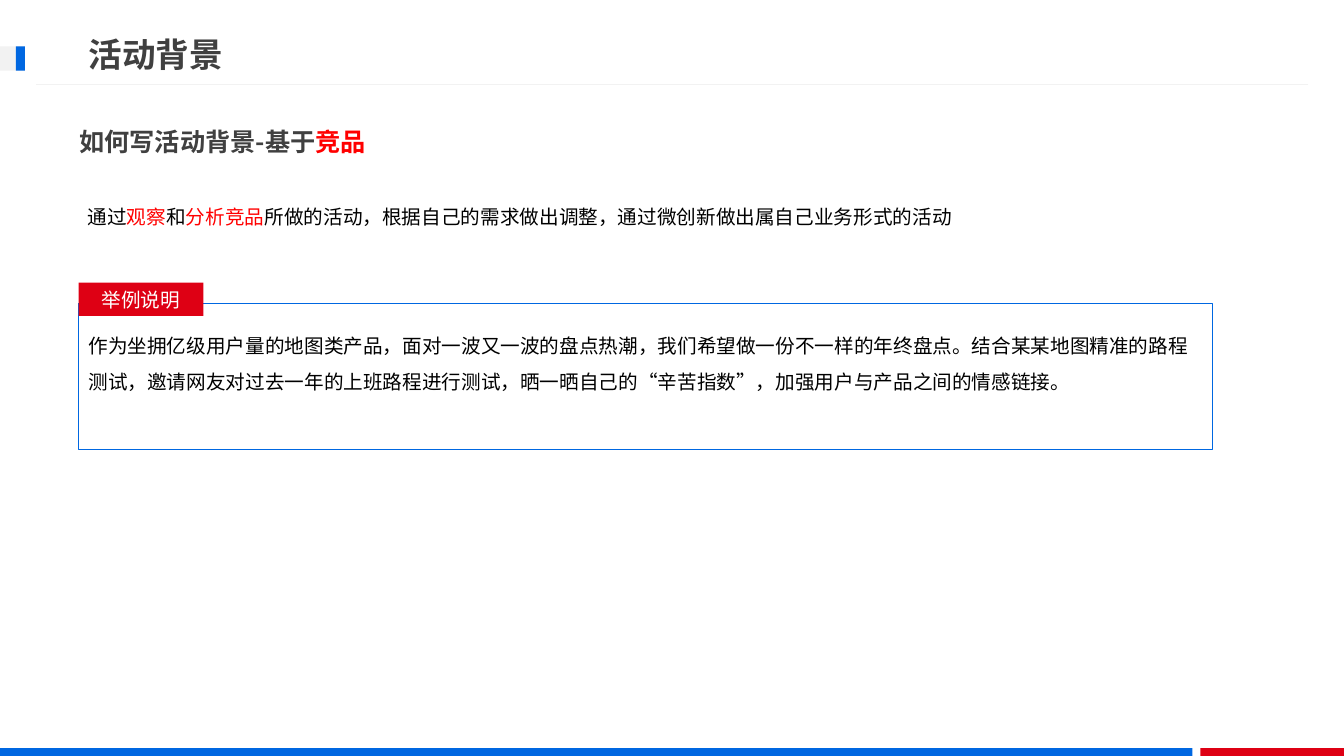
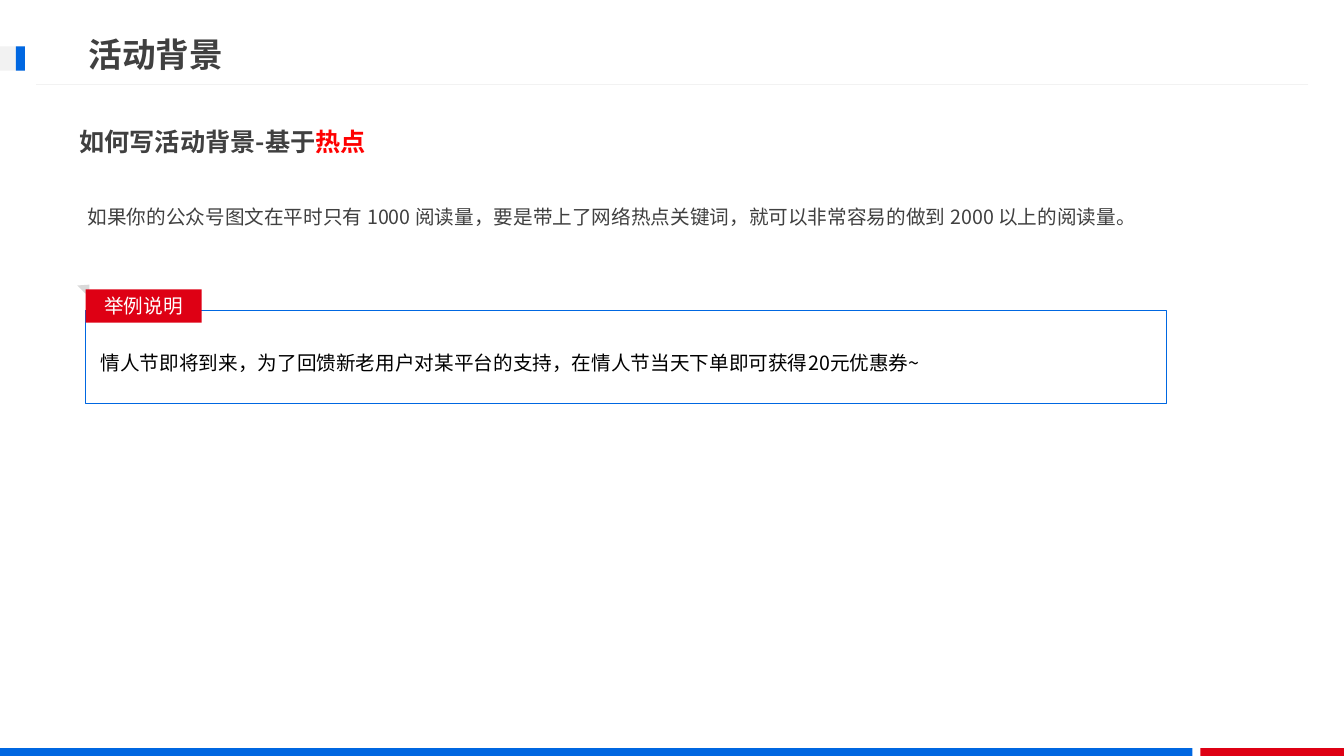
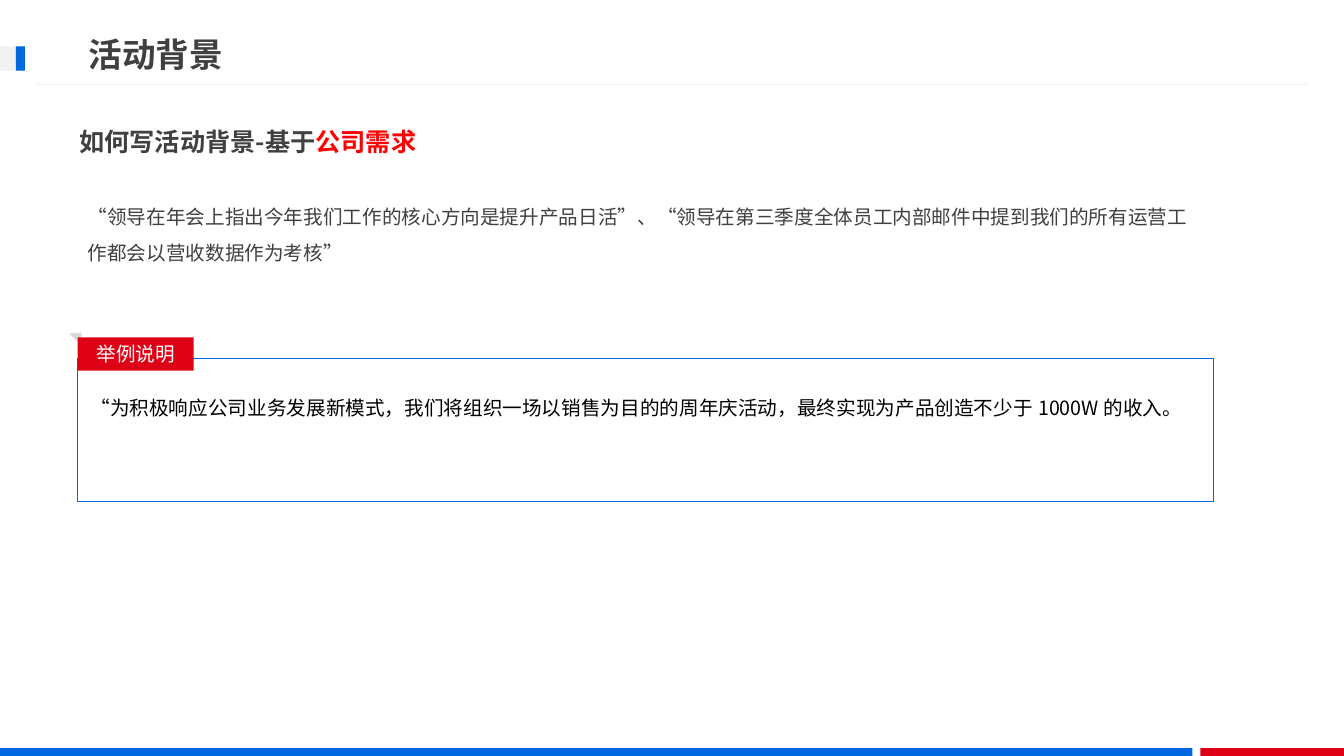
from dataclasses import dataclass
from typing import Optional

from lxml.etree import SubElement
from pptx import Presentation
from pptx.dml.color import RGBColor as RGB
from pptx.enum.lang import MSO_LANGUAGE_ID as LANG
from pptx.enum.shapes import MSO_CONNECTOR as CONN, MSO_SHAPE as SHAPE
from pptx.enum.text import MSO_ANCHOR as ANCHOR, PP_ALIGN as ALIGN
from pptx.oxml.ns import qn
from pptx.util import Cm, Pt


@dataclass(frozen=True)
class Theme:
    font: str = "Noto Sans CJK JP"
    blue: str = "0067E1"
    crimson: str = "DE0014"
    accent: str = "FF0000"
    dark: str = "404040"
    black: str = "000000"
    white: str = "FFFFFF"
    pale: str = "F2F2F2"
    fold: str = "D9D9D9"
    title: int = 24
    heading: int = 18
    body: int = 14
    line: float = 0.75
    spacing: float = 1.5


T = Theme()
TAG_H = 0.84
TAG_RISE = 0.53


@dataclass(frozen=True)
class Box:
    x: float
    y: float
    w: float
    h: float

    def cm(self) -> tuple:
        return Cm(self.x), Cm(self.y), Cm(self.w), Cm(self.h)


@dataclass(frozen=True)
class Run:
    text: str
    color: Optional[str] = None


@dataclass(frozen=True)
class Example:
    frame: Box
    text_box: Box
    text: str
    tag_w: float = 2.92
    folded: bool = True
    spacing: float = T.spacing


@dataclass(frozen=True)
class Page:
    basis: str
    intro: list[Run]
    intro_color: str
    example: Example


def write(sp, runs: list[Run], *, size: int = T.body, color: str = T.black,
          bold: bool = False, spacing: float = 1.0, align=ALIGN.LEFT,
          anchor=ANCHOR.TOP) -> None:
    tf = sp.text_frame
    tf.word_wrap = True
    tf.vertical_anchor = anchor
    p = tf.paragraphs[0]
    p.alignment = align
    p.line_spacing = spacing
    for run in runs:
        r = p.add_run()
        r.text = run.text
        f = r.font
        f.size, f.bold, f.name = Pt(size), bold, T.font
        f.language_id = LANG.SIMPLIFIED_CHINESE
        f.color.rgb = RGB.from_string(run.color or color)
        SubElement(f._element, qn("a:ea")).set("typeface", T.font)


def add_text(s, box: Box, runs: list[Run], **fmt) -> None:
    write(s.shapes.add_textbox(*box.cm()), runs, **fmt)


def add_shape(s, box: Box, *, fill: Optional[str] = None,
              line: Optional[str] = None, kind=SHAPE.RECTANGLE):
    sp = s.shapes.add_shape(kind, *box.cm())
    sp.shadow.inherit = False
    if fill:
        sp.fill.solid()
        sp.fill.fore_color.rgb = RGB.from_string(fill)
    else:
        sp.fill.background()
    if line:
        sp.line.color.rgb = RGB.from_string(line)
        sp.line.width = Pt(T.line)
    else:
        sp.line.fill.background()
    return sp


def add_frame(s) -> None:
    add_shape(s, Box(30.25, 18.85, 3.62, 0.2), fill=T.crimson)
    add_shape(s, Box(0, 18.85, 30.05, 0.2), fill=T.blue)
    rule = s.shapes.add_connector(CONN.STRAIGHT, Cm(32.97), Cm(2.13), Cm(0.9), Cm(2.13))
    rule.line.color.rgb = RGB.from_string(T.pale)
    rule.line.width = Pt(T.line)
    SubElement(rule._element.spPr, qn("a:effectLst"))
    add_shape(s, Box(0, 1.17, 0.63, 0.61), fill=T.pale)
    add_shape(s, Box(0.4, 1.17, 0.23, 0.61), fill=T.blue)
    add_text(s, Box(1.98, 0.64, 24.36, 1.45), [Run("活动背景")], size=T.title,
             color=T.dark, bold=True, anchor=ANCHOR.MIDDLE)


def add_example(s, ex: Example) -> None:
    x, y = ex.frame.x, ex.frame.y - TAG_RISE
    if ex.folded:
        fold = add_shape(s, Box(x - 0.19, y - 0.15, 0.41, 0.23), fill=T.fold,
                         kind=SHAPE.ISOSCELES_TRIANGLE)
        fold.rotation = 44.2
    add_shape(s, ex.frame, line=T.blue)
    tag = add_shape(s, Box(x, y, ex.tag_w, TAG_H), fill=T.crimson)
    write(tag, [Run("举例说明")], color=T.white, align=ALIGN.CENTER, anchor=ANCHOR.MIDDLE)
    add_text(s, ex.text_box, [Run(ex.text)], spacing=ex.spacing)


def add_page(prs, page: Page) -> None:
    s = prs.slides.add_slide(prs.slide_layouts[6])
    add_frame(s)
    add_text(s, Box(1.75, 2.69, 9.75, 1.27),
             [Run("如何写活动背景-基于"), Run(page.basis, T.accent)],
             size=T.heading, color=T.dark, bold=True, spacing=T.spacing)
    add_example(s, page.example)
    add_text(s, Box(1.96, 4.75, 28.63, 1.07), page.intro,
             color=page.intro_color, spacing=T.spacing)


PAGES = [
    Page(
        "竞品",
        [Run("通过"), Run("观察", T.accent), Run("和"), Run("分析竞品", T.accent),
         Run("所做的活动，根据自己的需求做出调整，通过微创新做出属自己业务形式的活动")],
        T.black,
        Example(Box(1.98, 7.65, 28.58, 3.68), Box(1.98, 8, 28.35, 1.96),
                "作为坐拥亿级用户量的地图类产品，面对一波又一波的盘点热潮，我们希望做一份不一样的年终盘点。"
                "结合某某地图精准的路程测试，邀请网友对过去一年的上班路程进行测试，晒一晒自己的“辛苦指数”，"
                "加强用户与产品之间的情感链接。",
                tag_w=3.15, folded=False),
    ),
    Page(
        "热点",
        [Run("如果你的公众号图文在平时只有 1000 阅读量，要是带上了网络热点关键词，"
             "就可以非常容易的做到 2000 以上的阅读量。")],
        T.dark,
        Example(Box(2.16, 7.82, 27.25, 2.36), Box(2.29, 8.43, 28.4, 1.07),
                "情人节即将到来，为了回馈新老用户对某平台的支持，在情人节当天下单即可获得20元优惠券~"),
    ),
    Page(
        "公司需求",
        [Run("“领导在年会上指出今年我们工作的核心方向是提升产品日活”、"
             "“领导在第三季度全体员工内部邮件中提到我们的所有运营工作都会以营收数据作为考核”")],
        T.dark,
        Example(Box(1.96, 9.03, 28.63, 3.61), Box(2.03, 9.86, 28.4, 1.45),
                "“为积极响应公司业务发展新模式，我们将组织一场以销售为目的的周年庆活动，"
                "最终实现为产品创造不少于 1000W 的收入。",
                spacing=1.0),
    ),
]


def main() -> None:
    prs = Presentation()
    prs.slide_width, prs.slide_height = Cm(33.87), Cm(19.05)
    for page in PAGES:
        add_page(prs, page)
    prs.save("out.pptx")


if __name__ == "__main__":
    main()
